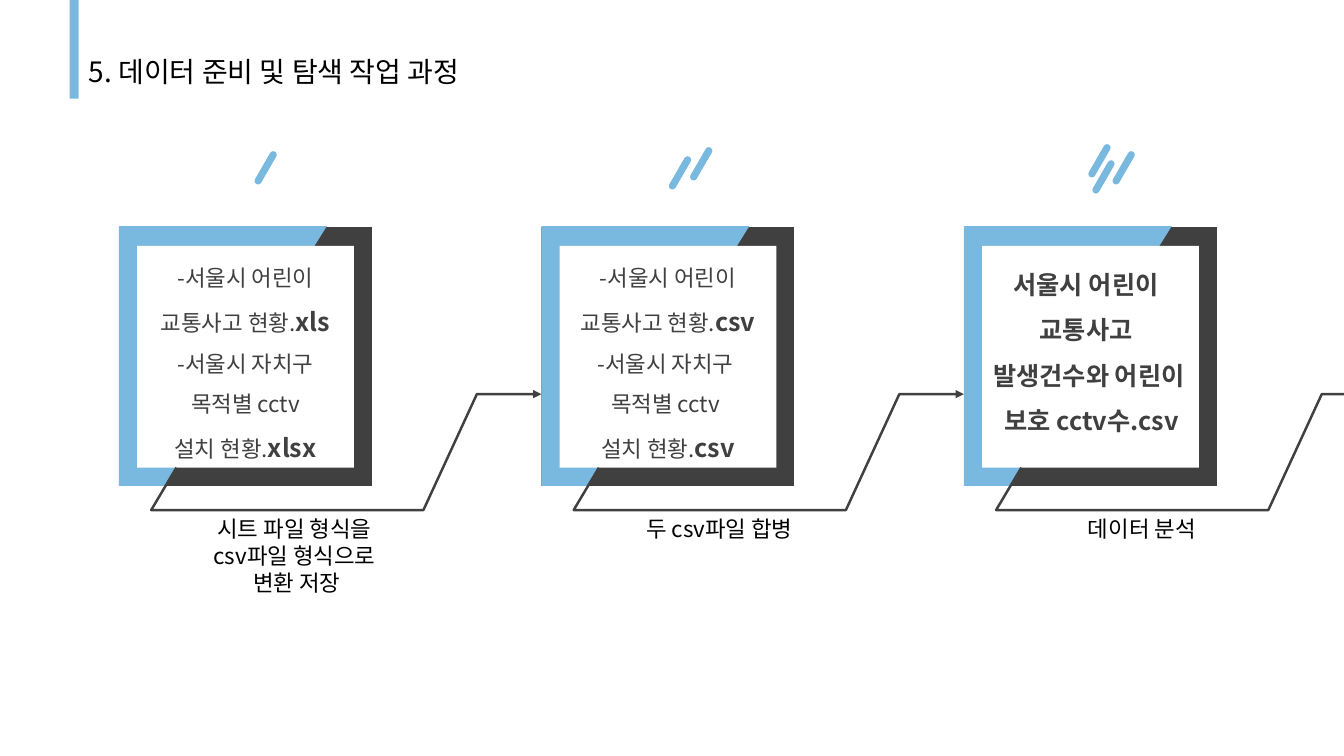
from dataclasses import dataclass

from lxml.etree import SubElement
from pptx import Presentation
from pptx.dml.color import RGBColor
from pptx.enum.shapes import MSO_SHAPE
from pptx.enum.text import MSO_ANCHOR, MSO_AUTO_SIZE, PP_ALIGN
from pptx.oxml.ns import qn
from pptx.shapes.autoshape import Shape
from pptx.slide import Slide
from pptx.text.text import TextFrame, _Run
from pptx.util import Emu, Pt

PX = 9144  # 100 px to the inch
FONT = "Noto Sans CJK KR"
BLUE, DARK, WHITE, BLACK = "7AB9DF", "404040", "FFFFFF", "000000"

CARD_LEFT, CARD_TOP, CARD_WIDTH, CARD_HEIGHT = 118, 225, 251, 257
CARD_PITCH = 419
ROUTE = [(57, 464), (32, 506), (302, 506), (355, 391), (CARD_PITCH, 391)]
CAPTION_LEFT, CAPTION_TOP, CAPTION_WIDTH = 32, 506, 289


@dataclass(frozen=True)
class Line:
    text: str
    extension: str = ""
    bold: bool = False


@dataclass(frozen=True)
class Box:
    left: int
    top: int
    width: int
    height: int


@dataclass(frozen=True)
class Stage:
    """One card; horizontal places count from the card's left edge."""
    lines: list[Line]
    text_box: Box
    caption: list[str]
    ticks: list[tuple[int, int]]


FILE_BOX = Box(18, 244, 215, 220)
STAGES = [
    Stage(
        [Line("-서울시 어린이 교통사고 현황.", "xls"), Line("-서울시 자치구"),
         Line(" 목적별 cctv "), Line("설치 현황.", "xlsx")],
        FILE_BOX,
        ["시트 파일 형식을 ", "csv파일 형식으로 ", "변환 저장"],
        [(142, 148)],
    ),
    Stage(
        [Line("-서울시 어린이 교통사고 현황.", "csv"), Line("-서울시 자치구 "),
         Line("목적별 cctv "), Line("설치 현황.", "csv")],
        FILE_BOX,
        ["두 csv파일 합병"],
        [(134, 153), (155, 144)],
    ),
    Stage(
        [Line("서울시 어린이 ", bold=True), Line("교통사고 ", bold=True),
         Line("발생건수와 어린이", bold=True), Line(" 보호 cctv수.csv", bold=True)],
        Box(2, 241, 244, 202),
        ["데이터 분석"],
        [(131, 141), (135, 157), (155, 148)],
    ),
]


def rgb(colour: str) -> RGBColor:
    return RGBColor.from_string(colour)


def emu(*lengths: int) -> list[Emu]:
    return [Emu(length * PX) for length in lengths]


def format_run(run: _Run, size: int, colour: str, bold: bool = False) -> None:
    run.font.size = Pt(size)
    run.font.bold = bold
    run.font.color.rgb = rgb(colour)
    run.font.name = FONT
    SubElement(run.font._element, qn("a:ea"), typeface=FONT)


def add_block(slide: Slide, kind: MSO_SHAPE, box: Box, fill: str) -> Shape:
    block = slide.shapes.add_shape(
        kind, *emu(box.left, box.top, box.width, box.height))
    block.shadow.inherit = False
    block.fill.solid()
    block.fill.fore_color.rgb = rgb(fill)
    block.line.fill.background()
    return block


def add_text_frame(slide: Slide, box: Box) -> TextFrame:
    frame = slide.shapes.add_textbox(
        *emu(box.left, box.top, box.width, box.height)).text_frame
    frame.word_wrap = True
    return frame


def add_card(slide: Slide, left: int) -> None:
    card = add_block(slide, MSO_SHAPE.RECTANGLE,
                     Box(left, CARD_TOP, CARD_WIDTH, CARD_HEIGHT), BLUE)
    card.fill.gradient()
    card.fill.gradient_angle = 148
    for stop, colour in zip(card.fill.gradient_stops, (DARK, BLUE)):
        stop.position = 0.5
        stop.color.rgb = rgb(colour)
    add_block(slide, MSO_SHAPE.RECTANGLE, Box(left + 18, 244, 215, 220), WHITE)


def add_route(slide: Slide, left: int) -> None:
    start, *corners = [(left + x, y) for x, y in ROUTE]
    builder = slide.shapes.build_freeform(*start, scale=PX)
    builder.add_line_segments(corners, close=False)
    route = builder.convert_to_shape()
    route.shadow.inherit = False
    route.fill.background()
    route.line.color.rgb = rgb(DARK)
    route.line.width = Pt(1.75)
    outline = route.element.spPr.find(qn("a:ln"))
    SubElement(outline, qn("a:tailEnd"), type="triangle")


def add_card_text(slide: Slide, left: int, stage: Stage) -> None:
    box = stage.text_box
    frame = add_text_frame(
        slide, Box(left + box.left, box.top, box.width, box.height))
    frame.vertical_anchor = MSO_ANCHOR.MIDDLE
    frame.text = "\n".join(line.text for line in stage.lines)
    for paragraph, line in zip(frame.paragraphs, stage.lines):
        paragraph.alignment = PP_ALIGN.CENTER
        paragraph.line_spacing = 1.5
        format_run(paragraph.runs[0], 18 if line.bold else 16, DARK, line.bold)
        if line.extension:
            extension = paragraph.add_run()
            extension.text = line.extension
            format_run(extension, 18, DARK, bold=True)


def add_caption(slide: Slide, left: int, caption: list[str]) -> None:
    height = 10 + 27 * len(caption)
    frame = add_text_frame(
        slide, Box(left + CAPTION_LEFT, CAPTION_TOP, CAPTION_WIDTH, height))
    frame.text = "\n".join(caption)
    for paragraph in frame.paragraphs:
        paragraph.alignment = PP_ALIGN.CENTER
        format_run(paragraph.runs[0], 16, BLACK)


def add_ticks(slide: Slide, left: int, ticks: list[tuple[int, int]]) -> None:
    for x, y in ticks:
        tick = add_block(slide, MSO_SHAPE.ROUNDED_RECTANGLE,
                         Box(left + x, y, 7, 37), BLUE)
        tick.adjustments[0] = 0.5
        tick.rotation = 30


def set_title(slide: Slide, text: str) -> None:
    title = slide.shapes.title
    title.left, title.top, title.width, title.height = emu(78, 49, 548, 44)
    frame = title.text_frame
    frame.text = text
    frame.auto_size = MSO_AUTO_SIZE.NONE
    frame.vertical_anchor = MSO_ANCHOR.TOP
    frame.paragraphs[0].alignment = PP_ALIGN.LEFT
    format_run(frame.paragraphs[0].runs[0], 20, BLACK)


def main() -> None:
    presentation = Presentation()
    presentation.slide_width, presentation.slide_height = emu(1333, 750)
    slide = presentation.slides.add_slide(presentation.slide_layouts[5])
    set_title(slide, "5. 데이터 준비 및 탐색 작업 과정")
    add_block(slide, MSO_SHAPE.RECTANGLE, Box(69, 0, 9, 98), BLUE)
    for index, stage in enumerate(STAGES):
        left = CARD_LEFT + index * CARD_PITCH
        add_card(slide, left)
        add_route(slide, left)
        add_ticks(slide, left, stage.ticks)
        add_card_text(slide, left, stage)
        add_caption(slide, left, stage.caption)
    presentation.save("out.pptx")


if __name__ == "__main__":
    main()
